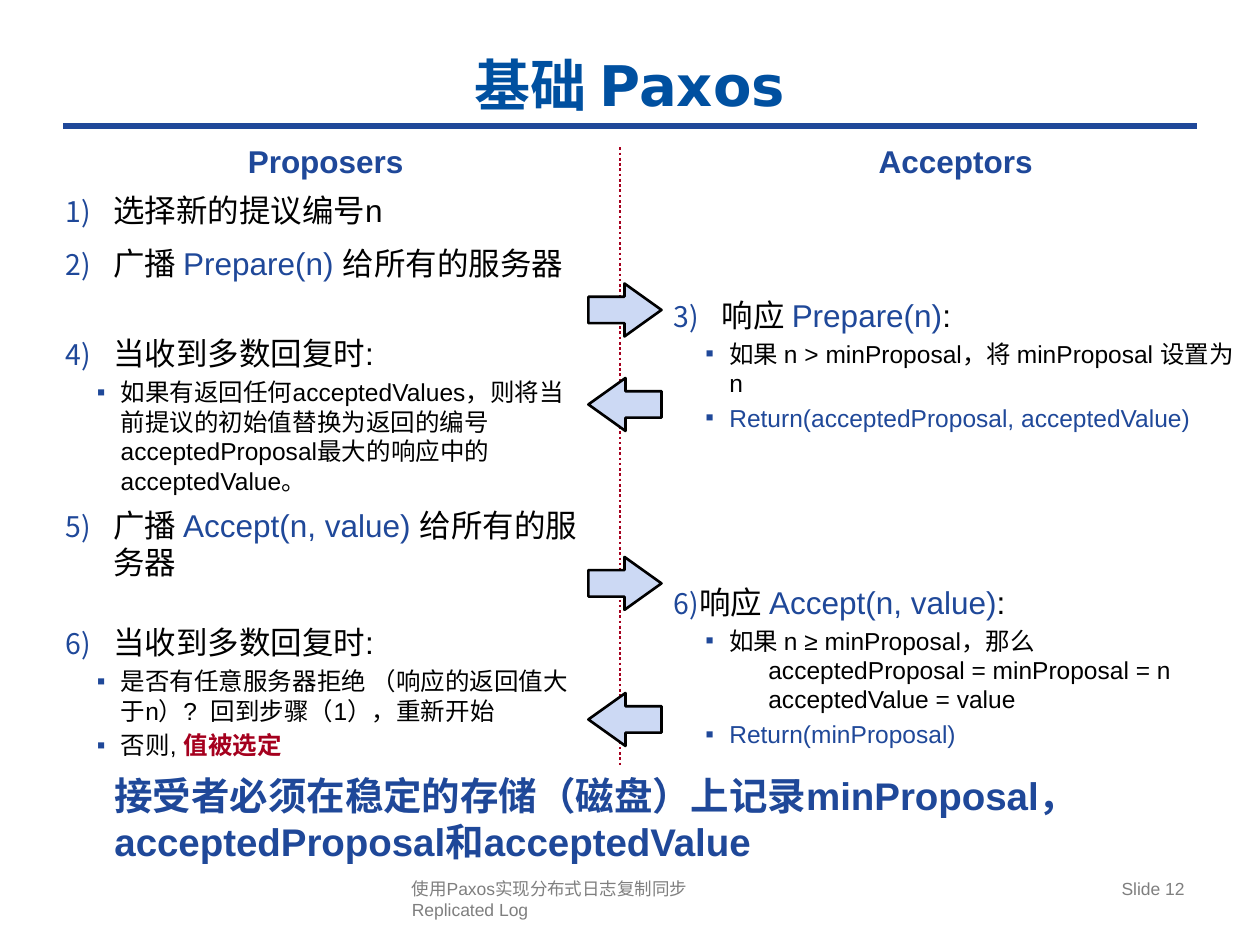
from lxml.etree import SubElement
from pptx import Presentation
from pptx.dml.color import RGBColor
from pptx.enum.dml import MSO_LINE
from pptx.enum.shapes import MSO_CONNECTOR, MSO_SHAPE
from pptx.enum.text import MSO_ANCHOR, PP_ALIGN
from pptx.oxml.ns import qn
from pptx.util import Inches, Pt

BLUE = RGBColor(0x1F, 0x48, 0x99)
TITLE_BLUE = RGBColor(0x00, 0x50, 0xA0)
PALE_BLUE = RGBColor(0xCC, 0xD9, 0xF4)
RED = RGBColor(0xA5, 0x00, 0x1E)
GRAY = RGBColor(0x7F, 0x7F, 0x7F)
BLACK = RGBColor(0, 0, 0)
WHITE = RGBColor(0xFF, 0xFF, 0xFF)

# Columns: (box, heading, paragraphs)
# Step: ("step", start number, hanging indent, space before, runs)
# Detail: ("detail", runs); a run is (text, color)
COLUMNS = [
    ((5.25, 1.08, 4.67, 6), "Acceptors", [
        ("step", 3, 0.38, 66, [("响应 ", BLACK), ("Prepare(n)", BLUE), (":", BLACK)]),
        ("detail", [("如果 n > minProposal，将 minProposal 设置为 n", BLACK)]),
        ("detail", [("Return(acceptedProposal, acceptedValue)", BLUE)]),
        ("step", 6, 0.19, 86, [("响应 ", BLACK), ("Accept(n, value)", BLUE), (":", BLACK)]),
        ("detail", [("如果 n ≥ minProposal，那么\n\tacceptedProposal = minProposal = n"
                     "\n\tacceptedValue = value", BLACK)]),
        ("detail", [("Return(minProposal)", BLUE)]),
    ]),
    ((0.42, 1.08, 4.33, 6.17), "Proposers", [
        ("step", 1, 0.38, 6, [("选择新的提议编号n", BLACK)]),
        ("step", 1, 0.38, 9, [("广播 ", BLACK), ("Prepare(n) ", BLUE),
                              ("给所有的服务器", BLACK)]),
        ("step", 4, 0.38, 30, [("当收到多数回复时:", BLACK)]),
        ("detail", [("如果有返回任何acceptedValues，则将当前提议的初始值替换为返回的编号"
                     "acceptedProposal最大的响应中的acceptedValue。", BLACK)]),
        ("step", 5, 0.38, 6, [("广播 ", BLACK), ("Accept(n, value) ", BLUE),
                              ("给所有的服务器", BLACK)]),
        ("step", 5, 0.38, 24, [("当收到多数回复时:", BLACK)]),  # continues as 6)
        ("detail", [("是否有任意服务器拒绝 （响应的返回值大于n）?  回到步骤（1），重新开始", BLACK)]),
        ("detail", [("否则, ", BLACK), ("值被选定", RED)]),
    ]),
]
# Arrow tops, alternately to the acceptors and back
ARROW_TOPS = [2.25, 3, 4.42, 5.5]
CONCLUSION = "接受者必须在稳定的存储（磁盘）上记录minProposal，acceptedProposal和acceptedValue"
FOOTERS = [
    ((3.17, 6.92, 3.75, 0.43), "使用Paxos实现分布式日志复制同步\nReplicated Log", PP_ALIGN.LEFT),
    ((7.17, 6.92, 2.33, 0.43), "Slide 12", PP_ALIGN.RIGHT),
]

presentation = Presentation()
presentation.slide_width, presentation.slide_height = Inches(10), Inches(7.5)
slide = presentation.slides.add_slide(presentation.slide_layouts[6])


def add_line(start, end, color, width):
    line = slide.shapes.add_connector(MSO_CONNECTOR.STRAIGHT, *map(Inches, start + end))
    line.line.color.rgb = color
    line.line.width = Pt(width)
    SubElement(line._element.spPr, qn("a:effectLst"))
    return line


def add_box(box, anchor=MSO_ANCHOR.TOP):
    shape = slide.shapes.add_textbox(*map(Inches, box))
    shape.text_frame.word_wrap = True
    shape.text_frame.vertical_anchor = anchor
    return shape


def write(paragraph, runs, size, bold=False, font="Arial", align=PP_ALIGN.LEFT):
    paragraph.alignment = align
    for text, color in runs:
        for index, line in enumerate(text.split("\n")):
            if index:
                paragraph.add_line_break()
            run = paragraph.add_run()
            run.text = line
            run.font.size = Pt(size)
            run.font.name = font
            run.font.bold = bold or color == RED
            run.font.color.rgb = color


def format_list(paragraph, left, hanging, before, start=None):
    paragraph.space_before = Pt(before)
    properties = paragraph._p.get_or_add_pPr()
    properties.set("marL", str(Inches(left)))
    properties.set("indent", str(-Inches(hanging)))
    color = SubElement(properties, qn("a:buClr"))
    SubElement(color, qn("a:srgbClr"), val=str(BLUE))
    if start:
        SubElement(properties, qn("a:buSzPct"), val="90000")
        number = SubElement(properties, qn("a:buAutoNum"), type="arabicParenR")
        if start > 1:
            number.set("startAt", str(start))
    else:
        SubElement(properties, qn("a:buFont"), typeface="Arial")
        SubElement(properties, qn("a:buChar"), char="▪")
        tabs = SubElement(properties, qn("a:tabLst"))
        SubElement(tabs, qn("a:tab"), pos=str(Inches(0.75)), algn="l")


# Title and rules
add_line((0.5, 1), (9.5, 1), BLUE, 4)
divider = add_line((4.92, 1.17), (4.92, 6.42), RED, 1.5)
divider.line.dash_style = MSO_LINE.ROUND_DOT
title = add_box((0.5, 0.33, 9, 0.67), MSO_ANCHOR.MIDDLE)
write(title.text_frame.paragraphs[0], [("基础 Paxos", TITLE_BLUE)], 32, True,
      "DejaVu Sans", PP_ALIGN.CENTER)

# Message arrows
for index, top in enumerate(ARROW_TOPS):
    arrow = slide.shapes.add_shape(MSO_SHAPE.RIGHT_ARROW, Inches(4.67), Inches(top),
                                   Inches(0.58), Inches(0.42))
    arrow.adjustments[1] = 0.7
    arrow.shadow.inherit = False
    arrow.fill.solid()
    arrow.fill.fore_color.rgb = PALE_BLUE
    arrow.line.color.rgb = BLACK
    arrow.line.width = Pt(1.5)
    if index % 2:
        arrow._element.spPr.find(qn("a:xfrm")).set("flipH", "1")

# Conclusion
conclusion = add_box((0.81, 6.08, 8.92, 0.84))
conclusion.fill.solid()
conclusion.fill.fore_color.rgb = WHITE
write(conclusion.text_frame.paragraphs[0], [(CONCLUSION, BLUE)], 22, True)

# Proposer and acceptor columns
for box, heading, items in COLUMNS:
    frame = add_box(box).text_frame
    write(frame.paragraphs[0], [(heading, BLUE)], 18, True, align=PP_ALIGN.CENTER)
    for kind, *details, runs in items:
        paragraph = frame.add_paragraph()
        if kind == "step":
            start, hanging, before = details
            format_list(paragraph, hanging, hanging, before, start)
            write(paragraph, runs, 18)
        else:
            paragraph.level = 1
            format_list(paragraph, 0.44, 0.19, 3)
            write(paragraph, runs, 14)

# Footer
for box, text, align in FOOTERS:
    write(add_box(box).text_frame.paragraphs[0], [(text, GRAY)], 10, align=align)

presentation.save("out.pptx")
